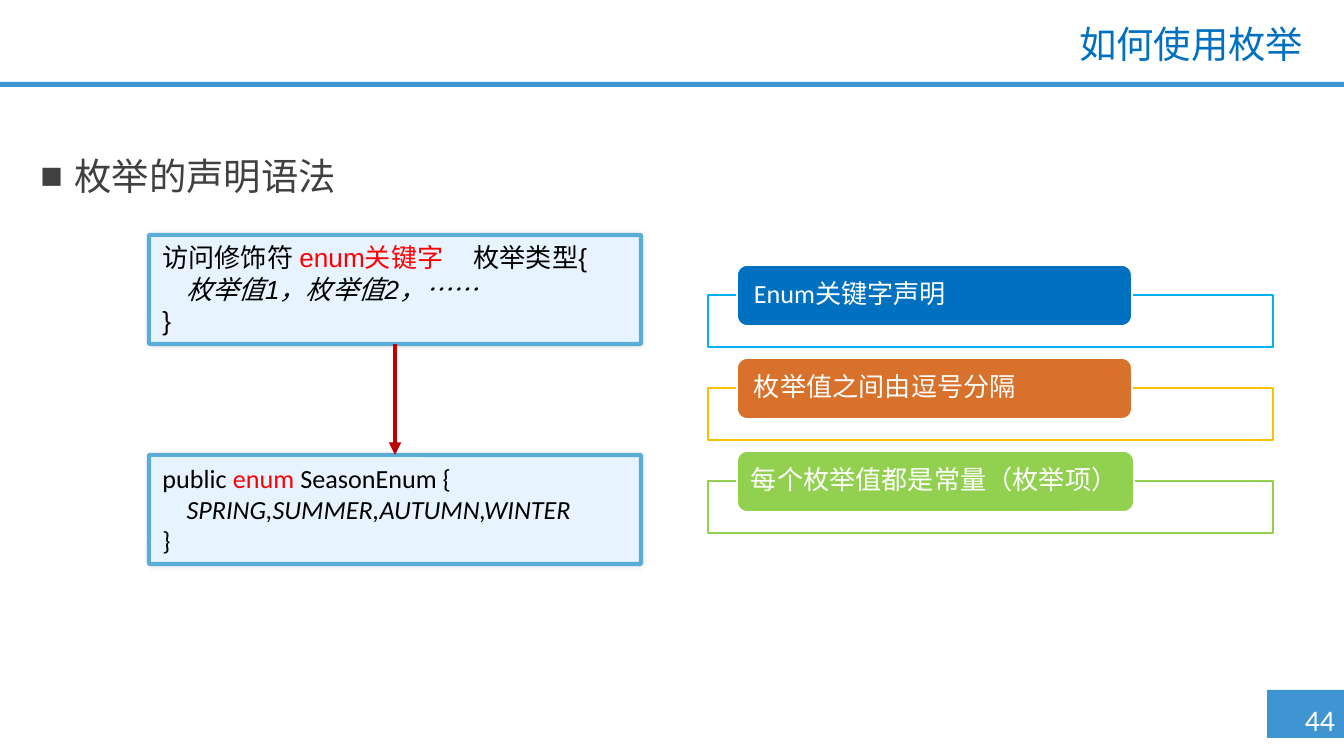
from lxml.etree import SubElement
from pptx import Presentation
from pptx.dml.color import RGBColor
from pptx.enum.shapes import MSO_CONNECTOR as CONNECTOR, MSO_SHAPE as SHAPE
from pptx.enum.text import MSO_ANCHOR as ANCHOR, MSO_AUTO_SIZE as AUTO_SIZE, PP_ALIGN as ALIGN
from pptx.oxml.ns import qn
from pptx.util import Pt

COLORS = {
    "band": "3F95D2", "title": "0070C0", "body": "404040", "white": "FFFFFF",
    "black": "000000", "keyword": "FF0000", "code_fill": "E7F4FF",
    "code_line": "5AADD6", "arrow": "C00000",
}
CJK_FONT = "Noto Sans CJK SC"
TITLE = "如何使用枚举"
BULLET = "枚举的声明语法"
PAGE_NUMBER = "44"

CODE_BOXES = [
    (235, "Arial", [("访问修饰符 ", "black"), ("enum关键字\t", "keyword"), ("枚举类型{", "black")],
     "枚举值1，枚举值2，……"),
    (455, "Calibri", [("public ", "black"), ("enum ", "keyword"), ("SeasonEnum {", "black")],
     "SPRING,SUMMER,AUTUMN,WINTER"),
]
RULES = [
    ("Enum关键字声明", "0070C0", "00B0F0", 395, 14),
    ("枚举值之间由逗号分隔", "D7712B", "FFC000", 395, 14),
    ("每个枚举值都是常量（枚举项）", "92D050", "92D050", 397, 11),
]
RULE_PITCH = 93
SCALE = 914400 / 134.4


def px(value):
    return round(value * SCALE)


def rgb(name):
    return RGBColor.from_string(COLORS.get(name, name))


def place(shape, left, top, width, height):
    shape.left, shape.top, shape.width, shape.height = map(px, (left, top, width, height))


def style_run(run, font_name, size, color, italic=None):
    font = run.font
    font.name, font.size, font.italic = font_name, Pt(size), italic
    font.color.rgb = rgb(color)
    SubElement(run._r.get_or_add_rPr(), qn("a:ea")).set("typeface", CJK_FONT)


def add_box(slide, kind, bounds, fill, line=None, line_width=1):
    shape = slide.shapes.add_shape(kind, *map(px, bounds))
    shape.shadow.inherit = False
    shape.fill.solid()
    shape.fill.fore_color.rgb = rgb(fill)
    if line:
        shape.line.color.rgb = rgb(line)
        shape.line.width = Pt(line_width)
    else:
        shape.line.fill.background()
    return shape


def add_page_frame(slide):
    add_box(slide, SHAPE.RECTANGLE, (1267, 690, 77, 48), "band")
    add_box(slide, SHAPE.RECTANGLE, (0, 82, 1344, 5), "band")
    number = slide.shapes.add_textbox(*map(px, (1285, 695, 70, 50)))
    number.text_frame.text = PAGE_NUMBER
    paragraph = number.text_frame.paragraphs[0]
    paragraph.alignment = ALIGN.CENTER
    style_run(paragraph.runs[0], "Calibri", 16, "white")


def fill_placeholders(slide):
    title, body = slide.shapes.title, slide.placeholders[1]
    place(title, 323, 20, 994, 54)
    place(body, 27, 145, 1270, 540)
    for shape, text, font_name, color in (
        (title, TITLE, "Arial", "title"), (body, BULLET, CJK_FONT, "body"),
    ):
        frame = shape.text_frame
        frame.text = text
        frame.auto_size = AUTO_SIZE.NONE
        frame.vertical_anchor = ANCHOR.TOP
        style_run(frame.paragraphs[0].runs[0], font_name, 20, color)
    heading = title.text_frame.paragraphs[0]
    heading.alignment, heading.line_spacing = ALIGN.RIGHT, 0.9
    item = body.text_frame.paragraphs[0]
    item.line_spacing, item.space_before = Pt(25), Pt(10)
    properties = item._p.get_or_add_pPr()
    properties.set("marL", str(px(34)))
    properties.set("indent", str(-px(34)))
    SubElement(properties, qn("a:buChar")).set("char", "■")


def add_code_box(slide, top, font_name, opening, values):
    box = add_box(slide, SHAPE.ROUNDED_RECTANGLE, (149, top, 492, 109),
                  "code_fill", "code_line", 2.25)
    box.adjustments[0] = 0.01
    effects = box._element.spPr.find(qn("a:effectLst"))
    shadow = SubElement(effects, qn("a:outerShdw"), blurRad=str(Pt(3)), dist="0", dir="0")
    shadow_color = SubElement(shadow, qn("a:srgbClr"), val=COLORS["black"])
    SubElement(shadow_color, qn("a:alpha"), val="10000")

    frame = box.text_frame
    frame.vertical_anchor = ANCHOR.TOP
    lines = [(opening, False), ([(values, "black")], True), ([("}", "black")], False)]
    for index, (pieces, italic) in enumerate(lines):
        paragraph = frame.paragraphs[0] if index == 0 else frame.add_paragraph()
        paragraph.alignment = ALIGN.LEFT
        properties = paragraph._p.get_or_add_pPr()
        if italic:
            properties.set("marL", str(px(24)))
        if index == 0:
            tabs = SubElement(properties, qn("a:tabLst"))
            SubElement(tabs, qn("a:tab"), pos=str(px(311)), algn="l")
        for text, color in pieces:
            run = paragraph.add_run()
            run.text = text
            style_run(run, font_name, 14, color, italic)
    return box


def add_arrow(slide, start, end):
    arrow = slide.shapes.add_connector(CONNECTOR.STRAIGHT, 0, 0, 0, 0)
    arrow.begin_connect(start, 2)
    arrow.end_connect(end, 0)
    arrow.line.color.rgb = rgb("arrow")
    arrow.line.width = Pt(2.25)
    SubElement(arrow.line._get_or_add_ln(), qn("a:tailEnd"), type="triangle")
    SubElement(arrow._element.spPr, qn("a:effectLst"))


def add_rule(slide, index, text, fill, line, width, inset):
    offset = index * RULE_PITCH
    panel = add_box(slide, SHAPE.RECTANGLE, (708, 295 + offset, 565, 52), "white", line)
    panel_color = panel._element.spPr.find(qn("a:solidFill"))[0]
    SubElement(panel_color, qn("a:alpha"), val="90000")

    tag = add_box(slide, SHAPE.ROUNDED_RECTANGLE, (737, 265 + offset, width, 61), fill, "white")
    frame = tag.text_frame
    frame.text = text
    frame.vertical_anchor = ANCHOR.MIDDLE
    frame.margin_left, frame.margin_right = px(inset), px(3)
    frame.margin_top = frame.margin_bottom = px(3)
    paragraph = frame.paragraphs[0]
    paragraph.alignment, paragraph.line_spacing = ALIGN.LEFT, 0.9
    style_run(paragraph.runs[0], "Calibri", 14, "white")


def main():
    presentation = Presentation()
    presentation.slide_width, presentation.slide_height = px(1344), px(756)
    slide = presentation.slides.add_slide(presentation.slide_layouts[1])
    add_page_frame(slide)
    fill_placeholders(slide)
    syntax, example = [add_code_box(slide, *box) for box in CODE_BOXES]
    add_arrow(slide, syntax, example)
    for index, rule in enumerate(RULES):
        add_rule(slide, index, *rule)
    presentation.save("out.pptx")


if __name__ == "__main__":
    main()
